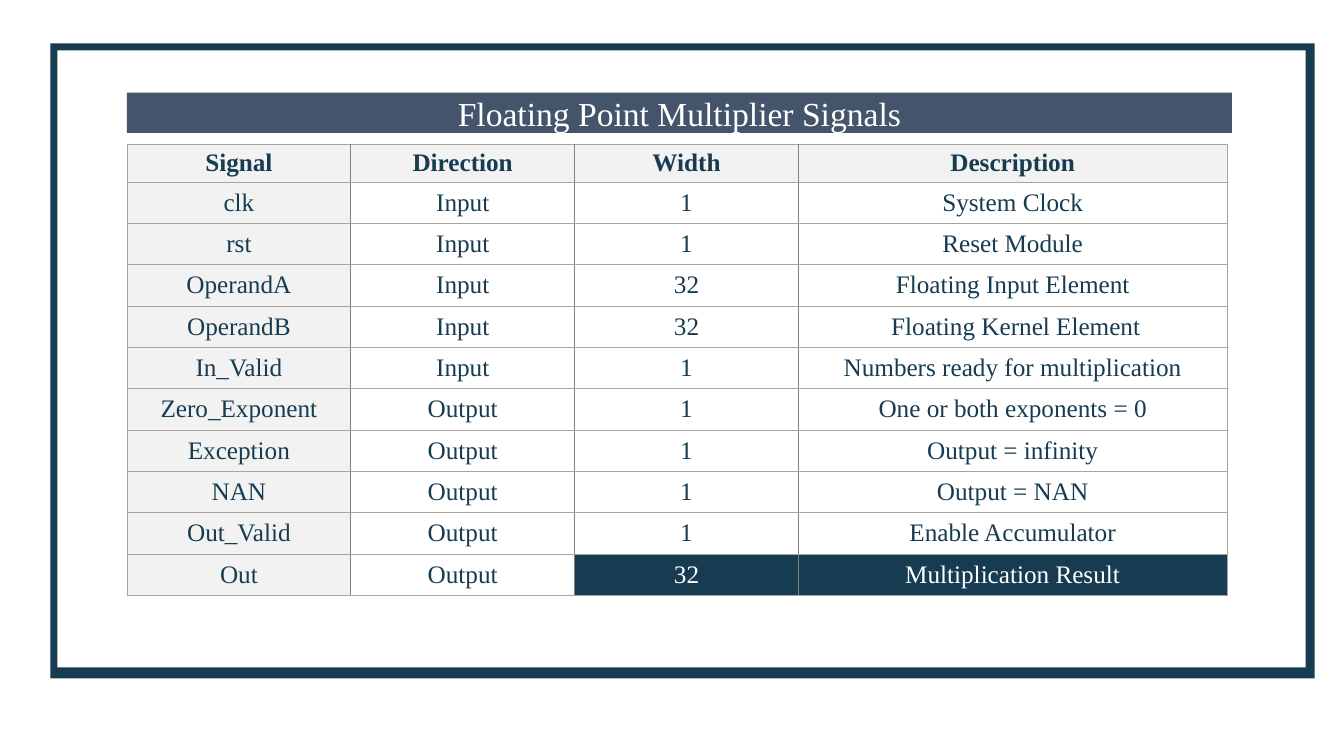
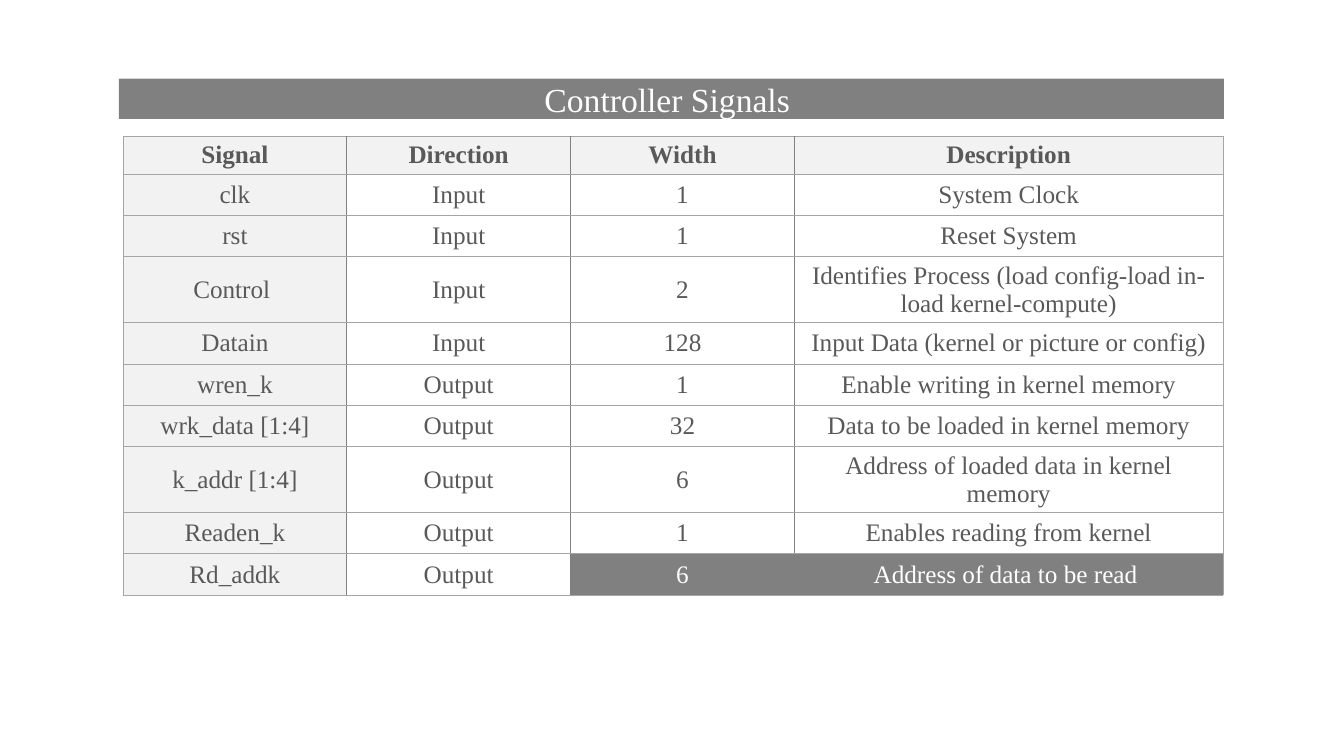
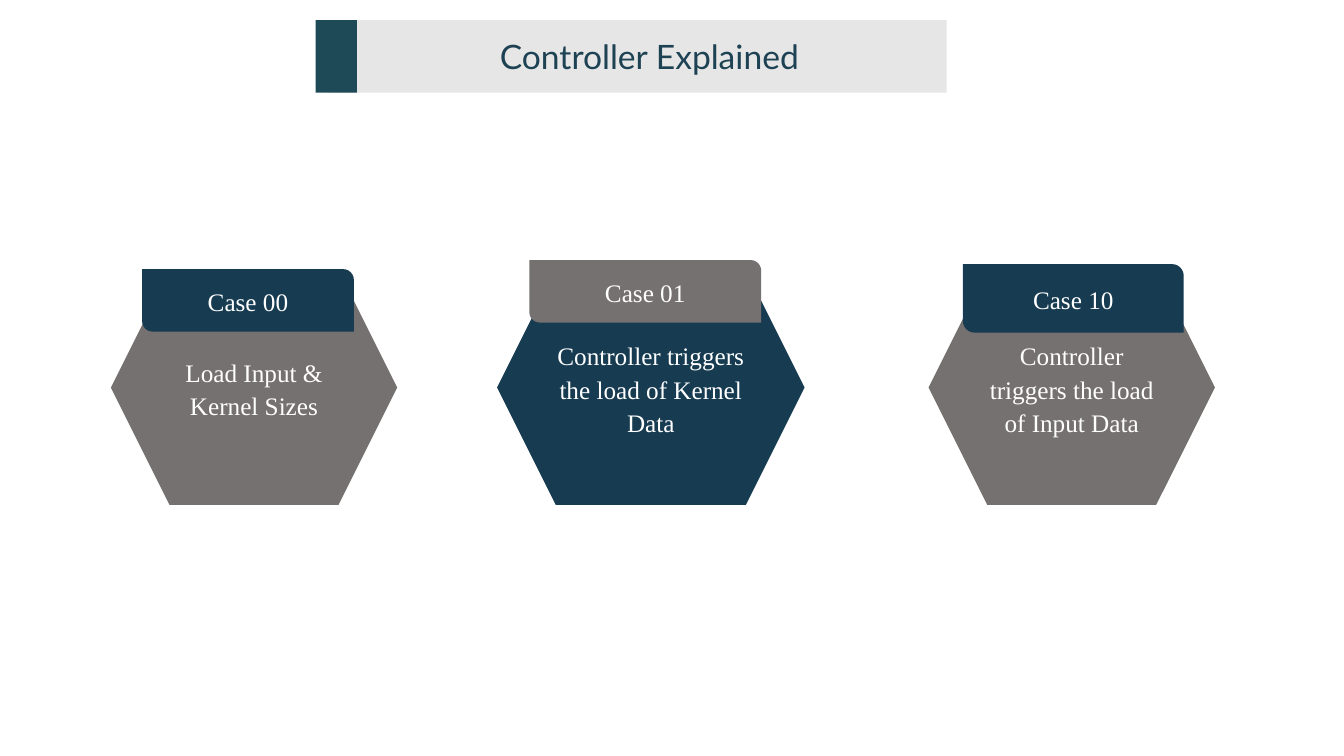
"""Build three slides on the signals and cases of a floating point accelerator."""

from dataclasses import dataclass

from lxml.etree import SubElement
from pptx import Presentation
from pptx.dml.color import RGBColor
from pptx.enum.shapes import MSO_SHAPE as Preset
from pptx.enum.text import MSO_ANCHOR as Anchor, PP_ALIGN as Align
from pptx.oxml.ns import qn
from pptx.shapes.autoshape import Shape
from pptx.slide import Slide
from pptx.table import _Cell as Cell
from pptx.text.text import TextFrame
from pptx.util import Pt

PX = 9144
SLIDE_WIDTH, SLIDE_HEIGHT = 1333, 750
SERIF, SANS = "Times New Roman", "Lato"
TITLE_SIZE, BODY_SIZE = 24, 18
CASE_SPACING = 1.1
TAB_ROUNDING = 0.17

COLORS = {
    "white": "FFFFFF",
    "navy": "173B51",
    "slate": "44546A",
    "gray": "808080",
    "charcoal": "595959",
    "label": "F2F2F2",
    "border": "A5A5A5",
    "taupe": "767171",
    "silver": "E7E6E6",
    "teal": "1E4956",
    "ink": "1D4253",
}

HEADINGS = ("Signal", "Direction", "Width", "Description")
COLUMN_WIDTHS = (222, 222, 222, 425)
HEADER_HEIGHT, ROW_HEIGHT = 34, 41
BAND_WIDTH, BAND_HEIGHT = 1096, 40


@dataclass(frozen=True)
class Box:
    left: int
    top: int
    width: int
    height: int


@dataclass(frozen=True)
class TextStyle:
    color: str = "white"
    size: int = BODY_SIZE
    font: str = SERIF
    bold: bool = False
    spacing: float = 1.0


@dataclass(frozen=True)
class SignalTable:
    title: str
    band_left: int
    band_top: int
    band_color: str
    left: int
    top: int
    text_color: str
    result_color: str
    rows: tuple[tuple[str, str, str, str], ...]


@dataclass(frozen=True)
class Case:
    name: str
    action: str
    hexagon: Box
    tab: Box
    hexagon_color: str
    tab_color: str


TITLE_STYLE = TextStyle(size=TITLE_SIZE)
CASE_STYLE = TextStyle(spacing=CASE_SPACING)

MULTIPLIER = SignalTable(
    "Floating Point Multiplier Signals", 126, 92, "slate", 126, 143, "navy", "navy",
    (
        ("clk", "Input", "1", "System Clock"),
        ("rst", "Input", "1", "Reset Module"),
        ("OperandA", "Input", "32", "Floating Input Element"),
        ("OperandB", "Input", "32", " Floating Kernel Element"),
        ("In_Valid", "Input", "1", "Numbers ready for multiplication"),
        ("Zero_Exponent", "Output", "1", "One or both exponents = 0"),
        ("Exception", "Output", "1", "Output = infinity"),
        ("NAN", "Output", "1", "Output = NAN"),
        ("Out_Valid", "Output", "1", "Enable Accumulator"),
        ("Out", "Output", "32", "Multiplication Result"),
    ),
)

CONTROLLER = SignalTable(
    "Controller Signals ", 118, 78, "gray", 122, 135, "charcoal", "gray",
    (
        ("clk", "Input", "1", "System Clock"),
        ("rst", "Input", "1", "Reset System"),
        ("Control ", "Input", "2",
         "Identifies Process (load config-load in-load kernel-compute)"),
        ("Datain", "Input", "128", "Input Data (kernel or picture or config)"),
        ("wren_k", "Output", "1", "Enable writing in kernel memory"),
        ("wrk_data [1:4]", "Output", "32", "Data to be loaded in kernel memory"),
        ("k_addr [1:4]", "Output", "6", "Address of loaded data in kernel memory"),
        ("Readen_k", "Output", "1", "Enables reading from kernel"),
        ("Rd_addk", "Output", "6", "Address of data to be read "),
    ),
)

CASES = (
    Case("Case 00", "Load Input & Kernel Sizes",
         Box(110, 268, 284, 233), Box(141, 267, 210, 62), "taupe", "navy"),
    Case("Case 01", "Controller triggers the load of Kernel Data",
         Box(493, 268, 305, 233), Box(525, 258, 230, 62), "navy", "taupe"),
    Case("Case 10", "Controller triggers the load of Input Data",
         Box(921, 268, 284, 233), Box(955, 262, 219, 68), "taupe", "navy"),
)


def rgb(name: str) -> RGBColor:
    return RGBColor.from_string(COLORS[name])


def write_text(frame: TextFrame, text: str, style: TextStyle) -> None:
    frame.text = text
    para = frame.paragraphs[0]
    para.alignment = Align.CENTER
    if style.spacing != 1.0:
        para.line_spacing = style.spacing
    for span in para.runs:
        span.font.name = style.font
        span.font.size = Pt(style.size)
        span.font.bold = style.bold
        span.font.color.rgb = rgb(style.color)


def add_block(slide: Slide, box: Box, color: str, text: str = "",
              style: TextStyle = CASE_STYLE, preset: Preset = Preset.RECTANGLE) -> Shape:
    block = slide.shapes.add_shape(
        preset, box.left * PX, box.top * PX, box.width * PX, box.height * PX)
    block.shadow.inherit = False
    block.fill.solid()
    block.fill.fore_color.rgb = rgb(color)
    block.line.fill.background()
    if text:
        block.text_frame.word_wrap = True
        block.text_frame.vertical_anchor = Anchor.MIDDLE
        write_text(block.text_frame, text, style)
    return block


def set_borders(cell: Cell, column: int) -> None:
    thin, thick = ("border", 0.5), ("gray", 1)
    edges = {
        "a:lnL": thin if column == 0 else thick,
        "a:lnR": thin if column == len(HEADINGS) - 1 else thick,
        "a:lnT": thin,
        "a:lnB": thin,
    }
    properties = cell._tc.get_or_add_tcPr()
    for position, (tag, (color, width)) in enumerate(edges.items()):
        line = SubElement(properties, qn(tag), w=str(int(Pt(width))))
        fill = SubElement(line, qn("a:solidFill"))
        SubElement(fill, qn("a:srgbClr"), val=COLORS[color])
        properties.insert(position, line)


def add_signal_table(slide: Slide, signals: SignalTable) -> None:
    rows = (HEADINGS, *signals.rows)
    heights = [HEADER_HEIGHT] + [ROW_HEIGHT] * len(signals.rows)
    table = slide.shapes.add_table(
        len(rows), len(HEADINGS), signals.left * PX, signals.top * PX,
        sum(COLUMN_WIDTHS) * PX, sum(heights) * PX).table
    table.horz_banding = False
    for column, width in enumerate(COLUMN_WIDTHS):
        table.columns[column].width = width * PX
    for row, (texts, height) in enumerate(zip(rows, heights)):
        table.rows[row].height = height * PX
        for column, text in enumerate(texts):
            is_header = row == 0
            is_result = row == len(rows) - 1 and column >= 2
            is_label = is_header or column == 0
            fill = signals.result_color if is_result else "label" if is_label else "white"
            color = "white" if is_result else signals.text_color
            cell = table.cell(row, column)
            cell.fill.solid()
            cell.fill.fore_color.rgb = rgb(fill)
            cell.vertical_anchor = Anchor.MIDDLE
            write_text(cell.text_frame, text, TextStyle(color, bold=is_header))
            set_borders(cell, column)
    band = Box(signals.band_left, signals.band_top, BAND_WIDTH, BAND_HEIGHT)
    add_block(slide, band, signals.band_color, signals.title, TITLE_STYLE)


def add_frame(slide: Slide) -> None:
    add_block(slide, Box(50, 43, 1254, 630), "navy")
    add_block(slide, Box(57, 50, 1238, 612), "white")


def add_heading(slide: Slide) -> None:
    style = TextStyle("ink", TITLE_SIZE, SANS)
    heading = add_block(slide, Box(326, 20, 613, 72), "silver", "Controller Explained", style)
    heading.text_frame.margin_left = 33 * PX
    add_block(slide, Box(313, 20, 41, 72), "teal")


def add_case(slide: Slide, case: Case) -> None:
    add_block(slide, case.hexagon, case.hexagon_color, case.action, preset=Preset.HEXAGON)
    tab = add_block(slide, case.tab, case.tab_color, case.name,
                    preset=Preset.ROUND_2_DIAG_RECTANGLE)
    tab.adjustments[0] = 0
    tab.adjustments[1] = TAB_ROUNDING


def main() -> None:
    deck = Presentation()
    deck.slide_width, deck.slide_height = SLIDE_WIDTH * PX, SLIDE_HEIGHT * PX
    multiplier_page, controller_page, cases_page = (
        deck.slides.add_slide(deck.slide_layouts[6]) for _ in range(3))
    add_frame(multiplier_page)
    add_signal_table(multiplier_page, MULTIPLIER)
    add_signal_table(controller_page, CONTROLLER)
    add_heading(cases_page)
    for case in CASES:
        add_case(cases_page, case)
    deck.save("out.pptx")


if __name__ == "__main__":
    main()
